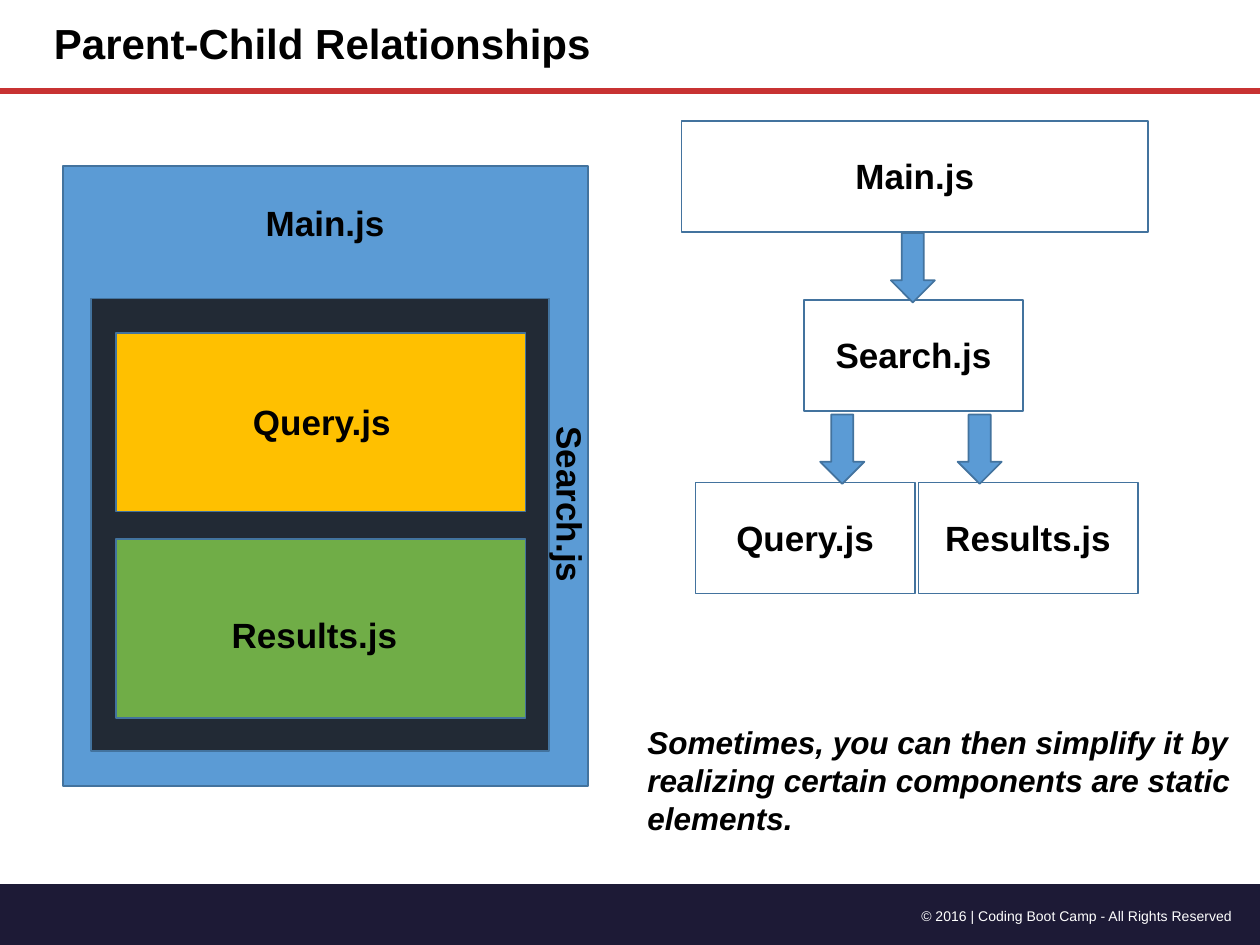
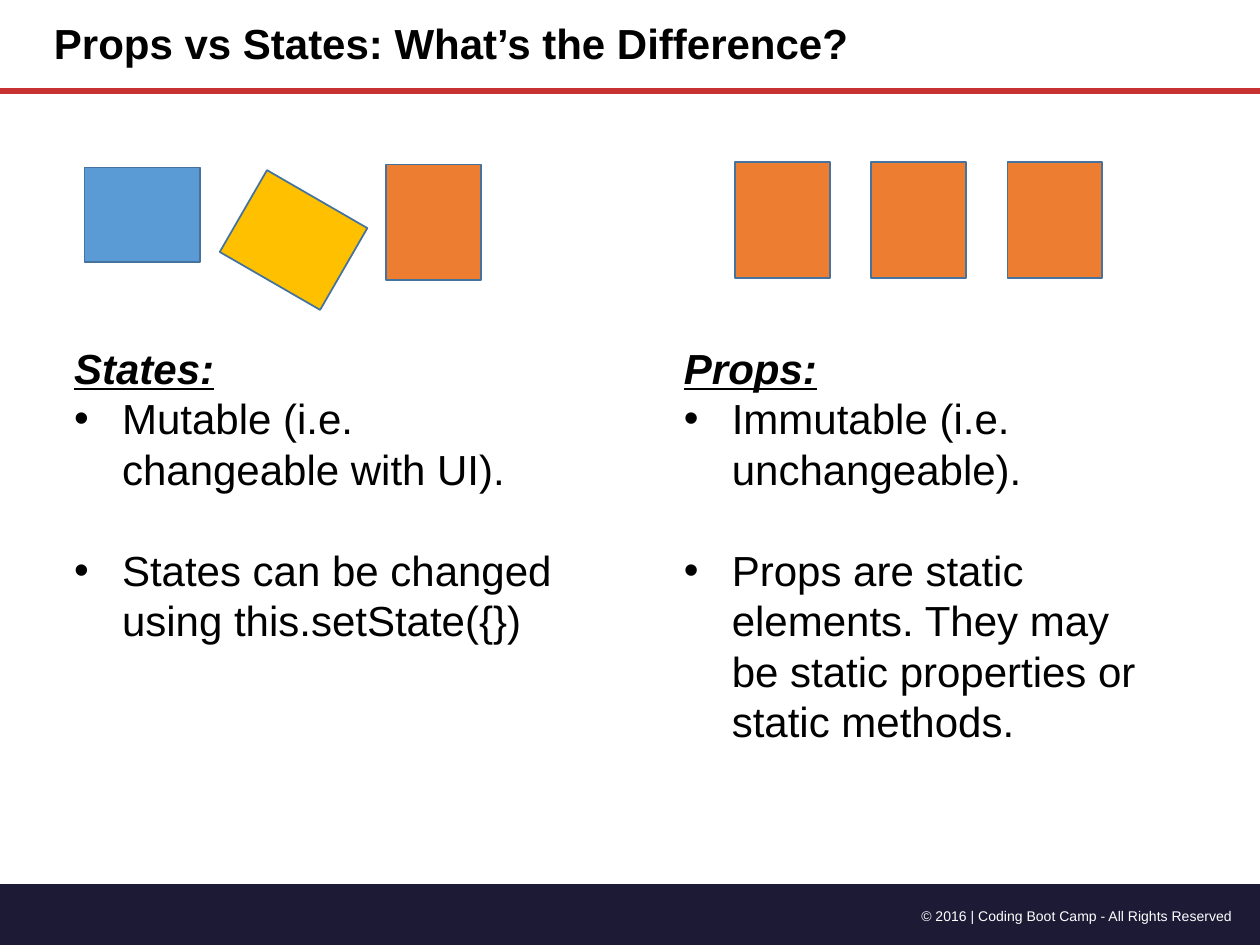
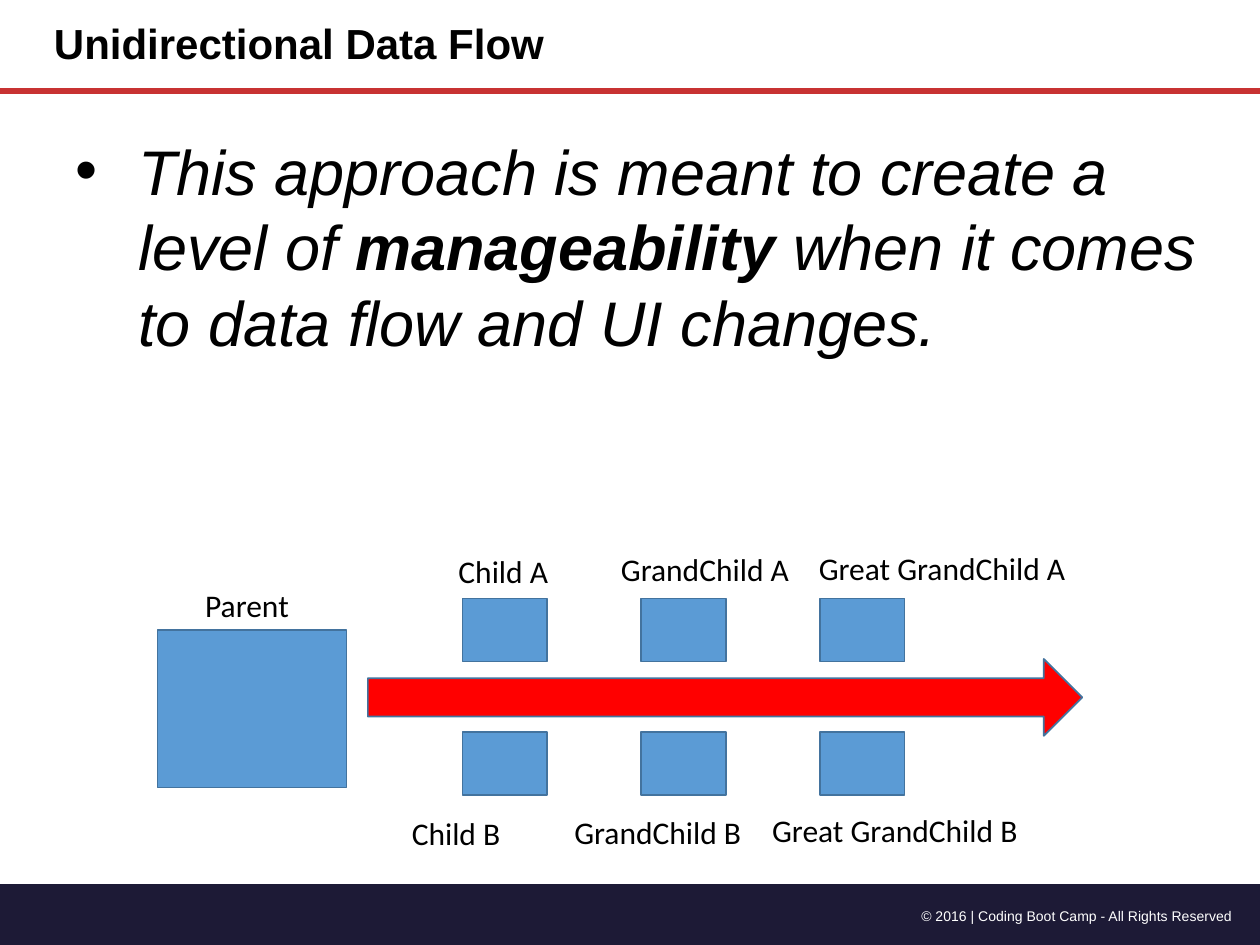
from lxml.etree import SubElement
from pptx import Presentation
from pptx.dml.color import RGBColor
from pptx.enum.shapes import MSO_CONNECTOR, MSO_SHAPE as Preset
from pptx.enum.text import MSO_ANCHOR, MSO_AUTO_SIZE, PP_ALIGN as Align
from pptx.oxml.ns import qn
from pptx.util import Inches, Pt

BLACK = RGBColor(0x00, 0x00, 0x00)
WHITE = RGBColor(0xFF, 0xFF, 0xFF)
NAVY = RGBColor(0x1D, 0x1A, 0x36)
RULE_RED = RGBColor(0xC8, 0x32, 0x32)
ARROW_RED = RGBColor(0xFF, 0x00, 0x00)
BLUE = RGBColor(0x5B, 0x9B, 0xD5)
OUTLINE = RGBColor(0x43, 0x73, 0x9E)
SLATE = RGBColor(0x22, 0x2A, 0x35)
YELLOW = RGBColor(0xFF, 0xC0, 0x00)
GREEN = RGBColor(0x70, 0xAD, 0x47)
ORANGE = RGBColor(0xED, 0x7D, 0x31)

FOOTER = "© 2016 | Coding Boot Camp - All Rights Reserved"


class Deck:
    """Holds the shared style and the slide being built."""

    def __init__(self):
        self.presentation = Presentation()
        self.presentation.slide_width = Inches(10)
        self.presentation.slide_height = Inches(7.5)
        self.slide = None

    def new_slide(self, title, title_width=5.98):
        layout = self.presentation.slide_layouts[6]
        self.slide = self.presentation.slides.add_slide(layout)
        self.shape(0, 7.02, 10.01, 0.5, NAVY, Preset.FLOWCHART_PROCESS, outline=None)
        self.text(6.83, 7.15, 3.05, 0.24, FOOTER, 8, color=WHITE, align=Align.RIGHT)
        self.rule(0.72)
        frame = self.text(0.33, 0, title_width, 0.72, title, 24, bold=True)
        frame.auto_size = MSO_AUTO_SIZE.NONE
        frame.vertical_anchor = MSO_ANCHOR.MIDDLE
        frame.paragraphs[0].line_spacing = 0.9

    def rule(self, top):
        line = self.slide.shapes.add_connector(
            MSO_CONNECTOR.STRAIGHT, 0, Inches(top), Inches(10), Inches(top))
        line.line.color.rgb = RULE_RED
        line.line.width = Pt(3.25)
        SubElement(line._element.spPr, qn("a:effectLst"))

    def shape(self, left, top, width, height, fill=None, preset=Preset.RECTANGLE,
              rotation=0, outline=OUTLINE):
        shape = self.slide.shapes.add_shape(
            preset, Inches(left), Inches(top), Inches(width), Inches(height))
        shape.shadow.inherit = False
        shape.rotation = rotation
        if fill is None:
            shape.fill.background()
        else:
            shape.fill.solid()
            shape.fill.fore_color.rgb = fill
        if outline is None:
            shape.line.fill.background()
        else:
            shape.line.color.rgb = outline
            shape.line.width = Pt(1)

    def text(self, left, top, width, height, text, size, bold=False, italic=False,
             color=BLACK, font="Arial", align=Align.LEFT, wrap=True, rotation=0):
        box = self.slide.shapes.add_textbox(
            Inches(left), Inches(top), Inches(width), Inches(height))
        box.rotation = rotation
        frame = box.text_frame
        frame.word_wrap = wrap
        frame.auto_size = MSO_AUTO_SIZE.SHAPE_TO_FIT_TEXT
        frame.text = text
        frame.paragraphs[0].alignment = align
        self.format_runs(frame.paragraphs[0], size, bold, italic, color, font)
        return frame

    def format_runs(self, paragraph, size, bold=False, italic=False,
                    color=BLACK, font="Arial"):
        for run in paragraph.runs:
            run.font.size = Pt(size)
            run.font.bold = bold
            run.font.italic = italic
            run.font.name = font
            run.font.color.rgb = color

    def bullet(self, paragraph, indent):
        properties = paragraph._p.get_or_add_pPr()
        properties.set("marL", str(Inches(indent)))
        properties.set("indent", str(-Inches(indent)))
        SubElement(properties, qn("a:buFont"), typeface="Arial")
        SubElement(properties, qn("a:buChar"), char="•")

    def file_label(self, left, top, width, text, align=Align.LEFT, rotation=0):
        self.text(left, top, width, 0.44, text, 20, bold=True, align=align,
                  wrap=False, rotation=rotation)

    def tree_box(self, left, top, width, text, label_width):
        self.shape(left, top, width, 0.88)
        self.file_label(left + (width - label_width) / 2, top + 0.22, label_width,
                        text, Align.CENTER)

    def definition(self, left, height, heading, points):
        frame = self.text(left, 2.67, 4.01, height, heading, 24, bold=True, italic=True)
        frame.paragraphs[0].runs[0].font.underline = True
        for number, point in enumerate(points):
            paragraph = frame.add_paragraph()
            paragraph.text = point
            paragraph.space_before = Pt(29 if number else 0)
            self.format_runs(paragraph, 24)
            self.bullet(paragraph, 0.38)

    def person(self, left, top, width, text):
        self.text(left, top, width, 0.4, text, 18, font="Calibri", wrap=False)


def build_relationships(deck):
    deck.new_slide("Parent-Child Relationships")

    # Nested components
    deck.shape(0.5, 1.32, 4.17, 4.92, BLUE)
    deck.shape(0.72, 2.37, 3.64, 3.59, SLATE)
    for top, fill in ((2.64, YELLOW), (4.28, GREEN)):
        deck.shape(0.92, top, 3.25, 1.42, fill)
    deck.file_label(3.8, 3.79, 1.45, "Search.js", rotation=90)
    deck.file_label(1.91, 3.13, 1.3, "Query.js")
    deck.file_label(1.74, 4.82, 1.53, "Results.js")
    deck.file_label(2.01, 1.55, 1.15, "Main.js")

    # Component tree
    deck.tree_box(5.41, 0.96, 3.7, "Main.js", 1.15)
    deck.tree_box(6.38, 2.38, 1.74, "Search.js", 1.45)
    deck.tree_box(5.52, 3.83, 1.74, "Query.js", 1.3)
    deck.tree_box(7.29, 3.83, 1.74, "Results.js", 1.53)
    for left, top in ((7.07, 1.85), (7.6, 3.29), (6.51, 3.29)):
        deck.shape(left, top, 0.35, 0.55, BLUE, Preset.DOWN_ARROW)

    deck.text(5.04, 5.69, 5, 1.01,
              "Sometimes, you can then simplify it by realizing certain "
              "components are static elements.", 18, bold=True, italic=True)


def build_props_and_states(deck):
    deck.new_slide("Props vs States: What’s the Difference?", title_width=6.75)

    deck.definition(0.49, 2.93, "States:", (
        "Mutable (i.e. changeable with UI).",
        "States can be changed using this.setState({})"))
    deck.definition(5.33, 3.33, "Props:", (
        "Immutable (i.e. unchangeable).",
        "Props are static elements. They may be static properties or static methods."))

    # Changing tiles for states, identical tiles for props
    tiles = [(0.67, 1.33, BLUE, 0), (1.87, 1.53, YELLOW, 30), (2.98, 1.39, ORANGE, 90)]
    tiles += [(5.75 + 1.08 * column, 1.37, ORANGE, 90) for column in range(3)]
    for left, top, fill, rotation in tiles:
        deck.shape(left, top, 0.92, 0.75, fill, rotation=rotation)


def build_data_flow(deck):
    deck.new_slide("Unidirectional Data Flow")

    # Statement with one emphasised word
    frame = deck.text(0.5, 1, 9.17, 3.13,
                      "This approach is meant to create a level of ", 36, italic=True)
    paragraph = frame.paragraphs[0]
    for words in ("manageability", " when it comes to data flow and UI changes."):
        paragraph.add_run().text = words
    deck.format_runs(paragraph, 36, italic=True)
    paragraph.runs[1].font.bold = True
    deck.bullet(paragraph, 0.5)

    # Flow from the parent through three generations
    deck.shape(2.92, 5.23, 5.67, 0.61, ARROW_RED, Preset.RIGHT_ARROW)
    deck.shape(1.25, 5, 1.5, 1.25, BLUE)
    deck.person(1.53, 4.6, 0.87, "Parent")
    generations = (("Child", 3.54, 0.92), ("GrandChild", 4.83, 1.55),
                   ("Great GrandChild", 6.4, 2.18))
    for number, (name, label_left, label_width) in enumerate(generations):
        for top in (4.75, 5.81):
            deck.shape(3.67 + 1.42 * number, top, 0.67, 0.5, BLUE)
        label_top = 4.33 - 0.01 * number
        deck.person(label_left, label_top, label_width, f"{name} A")
        deck.person(label_left - 0.37, label_top + 2.08, label_width + 0.02, f"{name} B")


def main():
    deck = Deck()
    build_relationships(deck)
    build_props_and_states(deck)
    build_data_flow(deck)
    deck.presentation.save("out.pptx")


if __name__ == "__main__":
    main()
